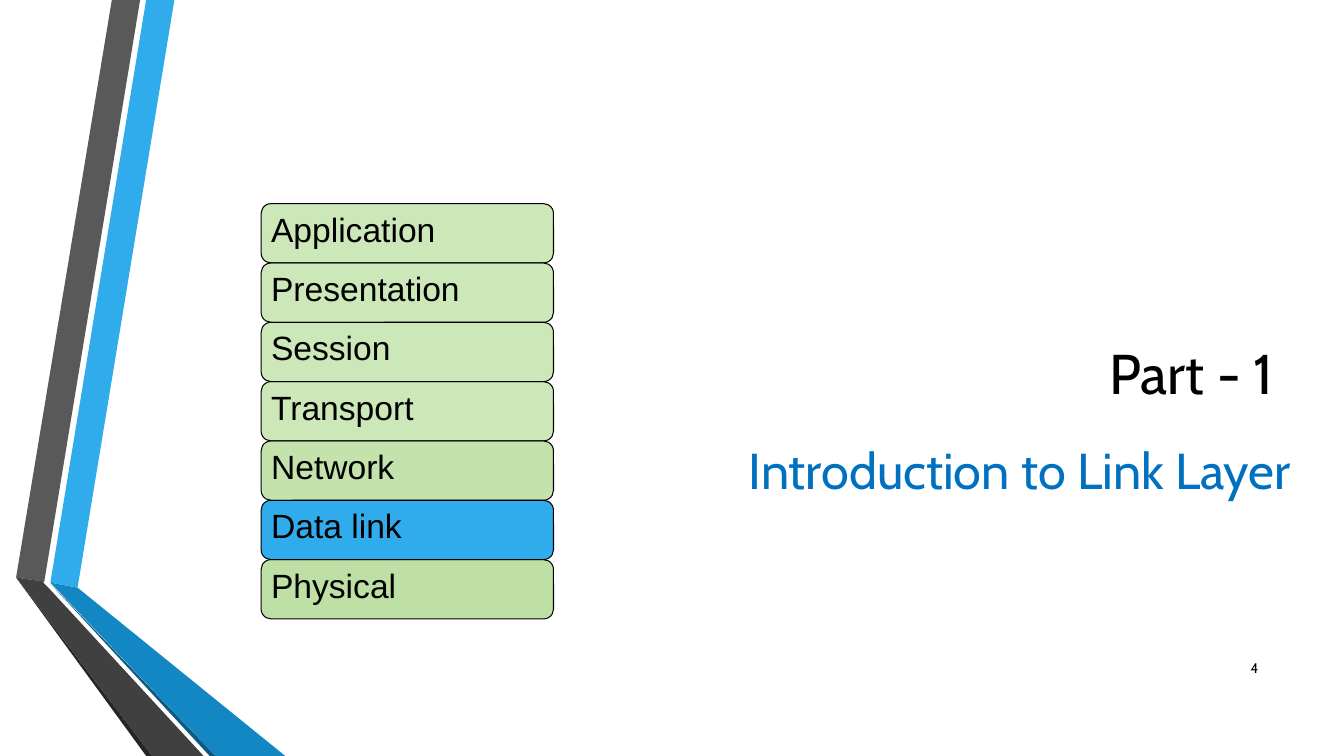
import pptx
import pptx.util
import pptx.dml.color
import pptx.enum.shapes
import pptx.enum.text
import pptx.oxml
import pptx.oxml.ns
from dataclasses import dataclass

EMU_PER_PX = 9144
ALIGN = pptx.enum.text.PP_ALIGN
ANCHOR = pptx.enum.text.MSO_ANCHOR


@dataclass(frozen=True)
class Theme:
    ink: str = "000000"
    heading: str = "0070C0"
    layer: str = "80C34F"
    active: str = "30ACEC"
    heading_font: str = "Cabin"
    layer_font: str = "Arial"
    title_size: int = 40
    subtitle_size: int = 36
    layer_size: int = 24
    number_size: int = 10
    outline: float = 0.75


THEME = Theme()

RIBBONS = [
    ("30ACEC", [(50, 578), (77, 583), (173, 0), (145, 0)]),
    ("595959", [(139, 0), (111, 0), (16, 573), (44, 577)]),
    ("262626", [(16, 573), (145, 750), (151, 750)]),
    ("0C5A82", [(50, 579), (208, 750), (214, 750)]),
    ("1287C3", [(50, 578), (214, 750), (283, 750), (77, 583)]),
    ("404040", [(202, 750), (48, 583), (43, 578), (44, 577), (16, 573), (151, 750)]),
]

LAYERS = [
    ("Application", THEME.layer, 40),
    ("Presentation", THEME.layer, 40),
    ("Session", THEME.layer, 40),
    ("Transport", THEME.layer, 40),
    ("Network", THEME.layer, 47),
    ("Data link", THEME.active, 100),
    ("Physical", THEME.layer, 51),
]


def px(length):
    return pptx.util.Emu(round(length * EMU_PER_PX))


def rgb(colour):
    return pptx.dml.color.RGBColor.from_string(colour)


def fill_shape(shape, colour, opacity=100):
    shape.shadow.inherit = False
    shape.fill.solid()
    shape.fill.fore_color.rgb = rgb(colour)
    if opacity < 100:
        tint = shape.fill._xPr.find(".//" + pptx.oxml.ns.qn("a:srgbClr"))
        alpha = pptx.oxml.parse_xml(
            f'<a:alpha {pptx.oxml.ns.nsdecls("a")} val="{opacity * 1000}"/>')
        tint.append(alpha)


def write(shape, text, font, size, colour, align, anchor):
    frame = shape.text_frame
    frame.text = text
    frame.word_wrap = True
    frame.auto_size = pptx.enum.text.MSO_AUTO_SIZE.NONE
    frame.vertical_anchor = anchor
    paragraph = frame.paragraphs[0]
    paragraph.alignment = align
    paragraph.space_before = pptx.util.Pt(0)
    run = paragraph.runs[0]
    run.font.name = font
    run.font.size = pptx.util.Pt(size)
    run.font.bold = False
    run.font.color.rgb = rgb(colour)
    return run


def place(shape, left, top, width, height):
    shape.left, shape.top = px(left), px(top)
    shape.width, shape.height = px(width), px(height)


def draw_ribbons(slide, left, top):
    for colour, corners in RIBBONS:
        points = [(left + x, top + y) for x, y in corners]
        outline = slide.shapes.build_freeform(*points[0], scale=EMU_PER_PX)
        outline.add_line_segments(points[1:], close=True)
        ribbon = outline.convert_to_shape()
        fill_shape(ribbon, colour)
        ribbon.line.fill.background()


def draw_layer_stack(slide, left, top, width, height):
    pitch = height / len(LAYERS)
    for index, (name, colour, opacity) in enumerate(LAYERS):
        layer = slide.shapes.add_shape(
            pptx.enum.shapes.MSO_SHAPE.ROUNDED_RECTANGLE,
            px(left), px(top + index * pitch), px(width), px(pitch))
        fill_shape(layer, colour, opacity)
        layer.line.color.rgb = rgb(THEME.ink)
        layer.line.width = pptx.util.Pt(THEME.outline)
        write(layer, name, THEME.layer_font, THEME.layer_size, THEME.ink,
              ALIGN.LEFT, ANCHOR.TOP)
        layer.text_frame.margin_left = px(7)
        layer.text_frame.margin_top = px(2)


def draw_headings(slide, left, top, width, height):
    title, subtitle = slide.placeholders
    title_height = 231
    subtitle_height = 94
    place(title, left, top, width, title_height)
    place(subtitle, left + 17, top + height - subtitle_height, width, subtitle_height)
    title_run = write(title, "Part - 1", THEME.heading_font, THEME.title_size,
                      THEME.ink, ALIGN.RIGHT, ANCHOR.BOTTOM)
    title_run.font._element.set("cap", "none")
    write(subtitle, "Introduction to Link Layer", THEME.heading_font,
          THEME.subtitle_size, THEME.heading, ALIGN.RIGHT, ANCHOR.TOP)


def draw_page_number(slide, left, top, width, height):
    number = slide.shapes.add_textbox(px(left), px(top), px(width), px(height))
    write(number, "4", THEME.heading_font, THEME.number_size, THEME.ink,
          ALIGN.RIGHT, ANCHOR.MIDDLE)


def build_section_slide(presentation):
    section_layout = presentation.slide_layouts.get_by_name("Section Header")
    slide = presentation.slides.add_slide(section_layout)
    draw_ribbons(slide, 0, 0)
    draw_headings(slide, 296, 177, 977, 348)
    draw_layer_stack(slide, 259, 202, 290, 412)
    draw_page_number(slide, 1198, 643, 60, 40)


def main():
    presentation = pptx.Presentation()
    presentation.slide_width = px(1333)
    presentation.slide_height = px(750)
    build_section_slide(presentation)
    presentation.save("out.pptx")


if __name__ == "__main__":
    main()
